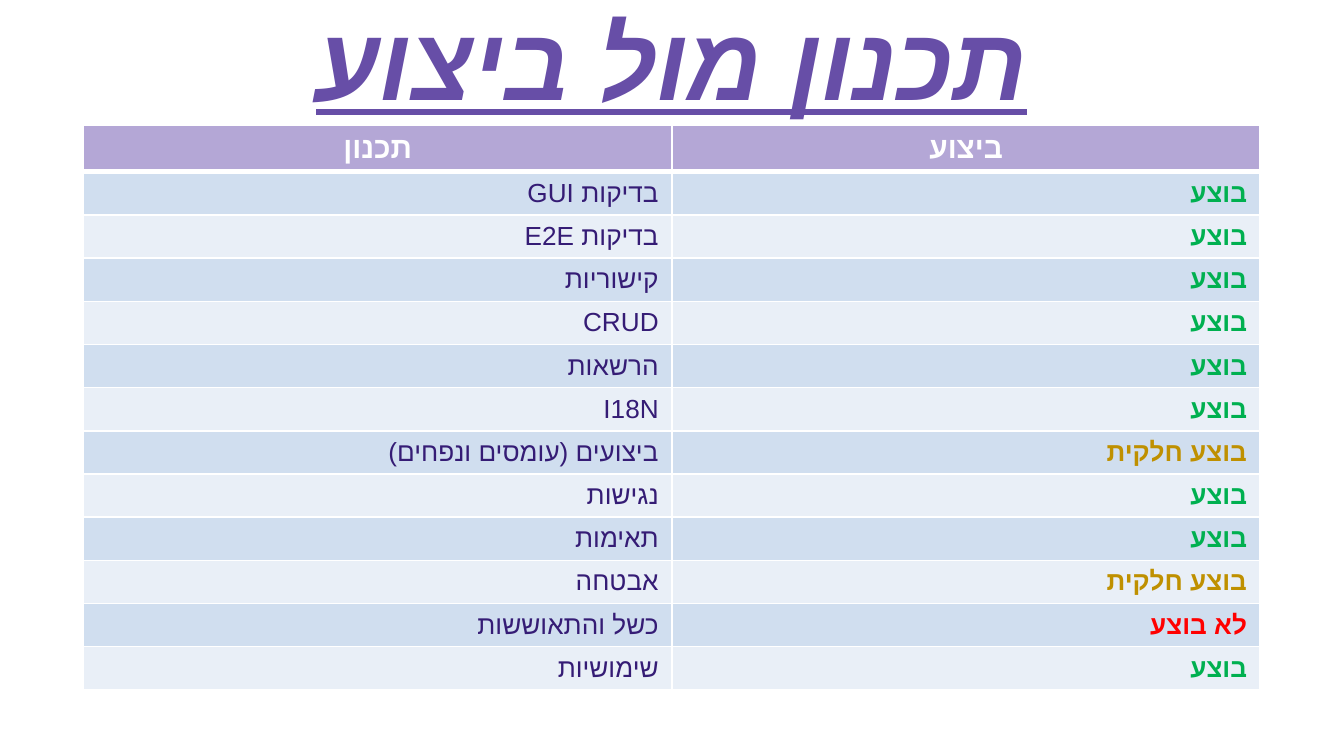
from typing import NamedTuple

from lxml.etree import SubElement
from pptx import Presentation
from pptx.dml.color import RGBColor
from pptx.enum.text import MSO_AUTO_SIZE as AutoSize, PP_ALIGN as Align
from pptx.oxml.ns import qn
from pptx.table import _Cell as Cell
from pptx.text.text import TextFrame
from pptx.util import Cm, Pt

FONT = "Arial"
WHITE = RGBColor(0xFF, 0xFF, 0xFF)
PURPLE = RGBColor(0x67, 0x4E, 0xA7)
LILAC = RGBColor(0xB4, 0xA7, 0xD6)
INDIGO = RGBColor(0x35, 0x1C, 0x75)
GREEN = RGBColor(0x00, 0xB0, 0x50)
GOLD = RGBColor(0xBF, 0x90, 0x00)
RED = RGBColor(0xFF, 0x00, 0x00)
BANDS = (RGBColor(0xD0, 0xDE, 0xEF), RGBColor(0xE9, 0xEF, 0xF7))

THIN, THICK = Pt(1), Pt(3)
HEADER_HEIGHT, ROW_HEIGHT = Cm(0.86), Cm(0.79)
COLUMN_WIDTH = Cm(11.12)


class Status(NamedTuple):
    label: str
    color: RGBColor


class Task(NamedTuple):
    plan: str
    status: Status


DONE = Status("בוצע", GREEN)
PARTIAL = Status("בוצע חלקית", GOLD)
NOT_DONE = Status("לא בוצע", RED)

HEADINGS = ("תכנון", "ביצוע")
TASKS = (
    Task("בדיקות GUI", DONE),
    Task("בדיקות E2E", DONE),
    Task("קישוריות", DONE),
    Task("CRUD", DONE),
    Task("הרשאות", DONE),
    Task("I18N", DONE),
    Task("ביצועים (עומסים ונפחים)", PARTIAL),
    Task("נגישות", DONE),
    Task("תאימות", DONE),
    Task("אבטחה", PARTIAL),
    Task("כשל והתאוששות", NOT_DONE),
    Task("שימושיות", DONE),
)


def write(frame: TextFrame, text: str, *, size: float, color: RGBColor,
          align: Align = Align.RIGHT, bold: bool = False,
          italic: bool = False, underline: bool = False) -> None:
    paragraph = frame.paragraphs[0]
    paragraph.alignment = align
    paragraph._p.get_or_add_pPr().set("rtl", "1")
    run = paragraph.add_run()
    run.text = text
    font = run.font
    font.name, font.size = FONT, Pt(size)
    font.bold, font.italic, font.underline = bold, italic, underline
    font.color.rgb = color
    SubElement(run._r.get_or_add_rPr(), qn("a:cs"), typeface=FONT)


def style_cell(cell: Cell, fill: RGBColor, top: int = THIN, bottom: int = THIN) -> None:
    properties = cell._tc.get_or_add_tcPr()
    for side, width in (("L", THIN), ("R", THIN), ("T", top), ("B", bottom)):
        border = SubElement(properties, qn(f"a:ln{side}"), w=str(width))
        solid = SubElement(border, qn("a:solidFill"))
        SubElement(solid, qn("a:srgbClr"), val=str(WHITE))
    cell.fill.solid()
    cell.fill.fore_color.rgb = fill
    cell.margin_left = cell.margin_right = Cm(0.25)
    cell.margin_top = cell.margin_bottom = Cm(0.13)


def main() -> None:
    deck = Presentation()
    deck.slide_width, deck.slide_height = Cm(25.4), Cm(14.29)
    slide = deck.slides.add_slide(deck.slide_layouts[6])

    table = slide.shapes.add_table(
        len(TASKS) + 1, len(HEADINGS), Cm(1.58), Cm(2.36),
        COLUMN_WIDTH * len(HEADINGS), HEADER_HEIGHT + ROW_HEIGHT * len(TASKS),
    ).table
    table.first_row = table.horz_banding = False
    for column in table.columns:
        column.width = COLUMN_WIDTH
    for index, row in enumerate(table.rows):
        row.height = ROW_HEIGHT if index else HEADER_HEIGHT

    for column, heading in enumerate(HEADINGS):
        cell = table.cell(0, column)
        style_cell(cell, LILAC, bottom=THICK)
        write(cell.text_frame, heading, size=16, color=WHITE, align=Align.CENTER, bold=True)

    for index, task in enumerate(TASKS):
        plan, outcome = table.cell(index + 1, 0), table.cell(index + 1, 1)
        for cell in (plan, outcome):
            style_cell(cell, BANDS[index % 2], top=THIN if index else THICK)
        write(plan.text_frame, task.plan, size=14, color=INDIGO)
        write(outcome.text_frame, task.status.label, size=14,
              color=task.status.color, bold=True)

    title = slide.shapes.add_textbox(Cm(3), Cm(-0.28), Cm(19.4), Cm(2.87)).text_frame
    title.word_wrap = True
    title.auto_size = AutoSize.SHAPE_TO_FIT_TEXT
    title.margin_left = title.margin_right = Cm(0.25)
    title.margin_top = title.margin_bottom = Cm(0.25)
    write(title, "תכנון מול ביצוע", size=55, color=PURPLE, align=Align.CENTER,
          bold=True, italic=True, underline=True)

    deck.save("out.pptx")


if __name__ == "__main__":
    main()
